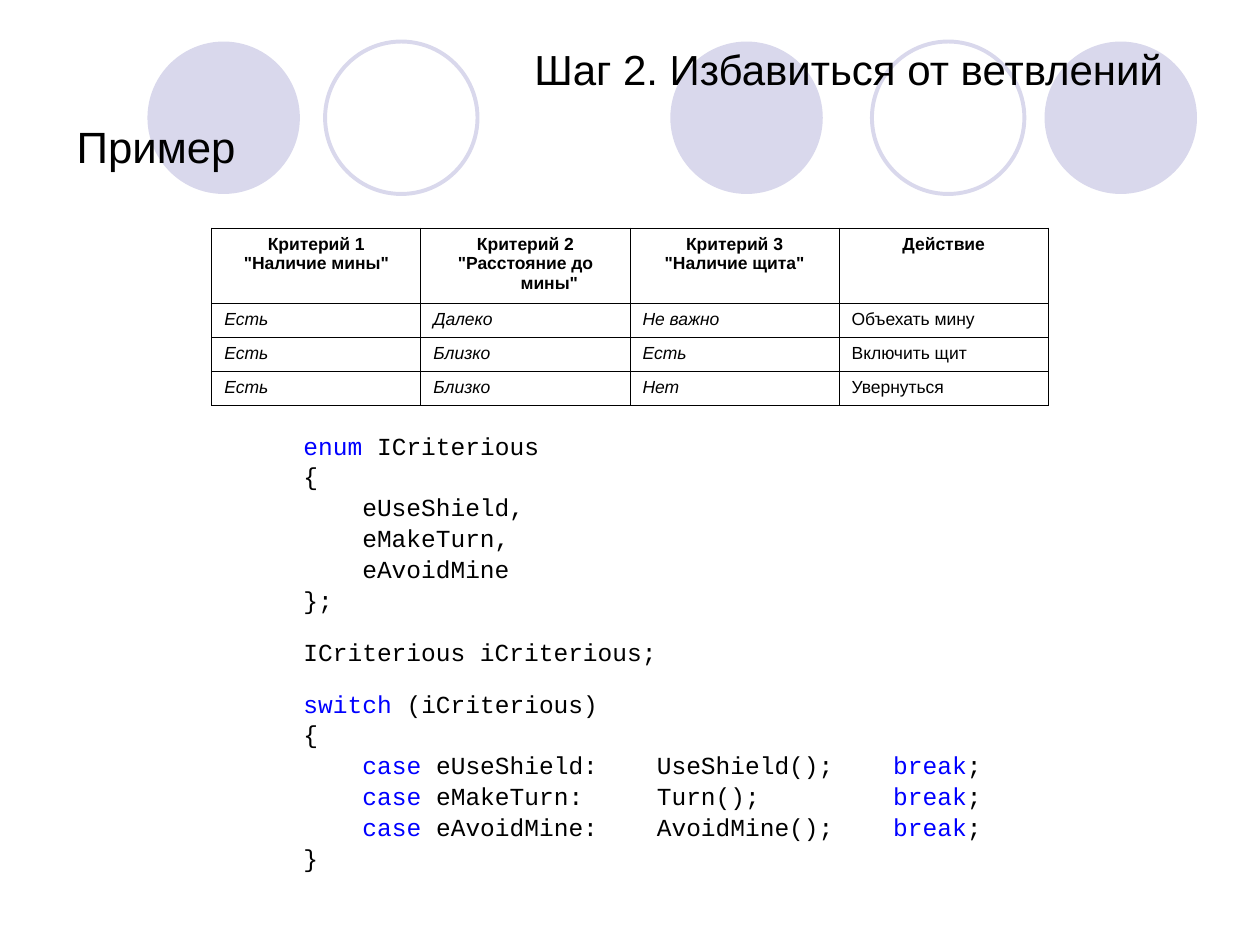
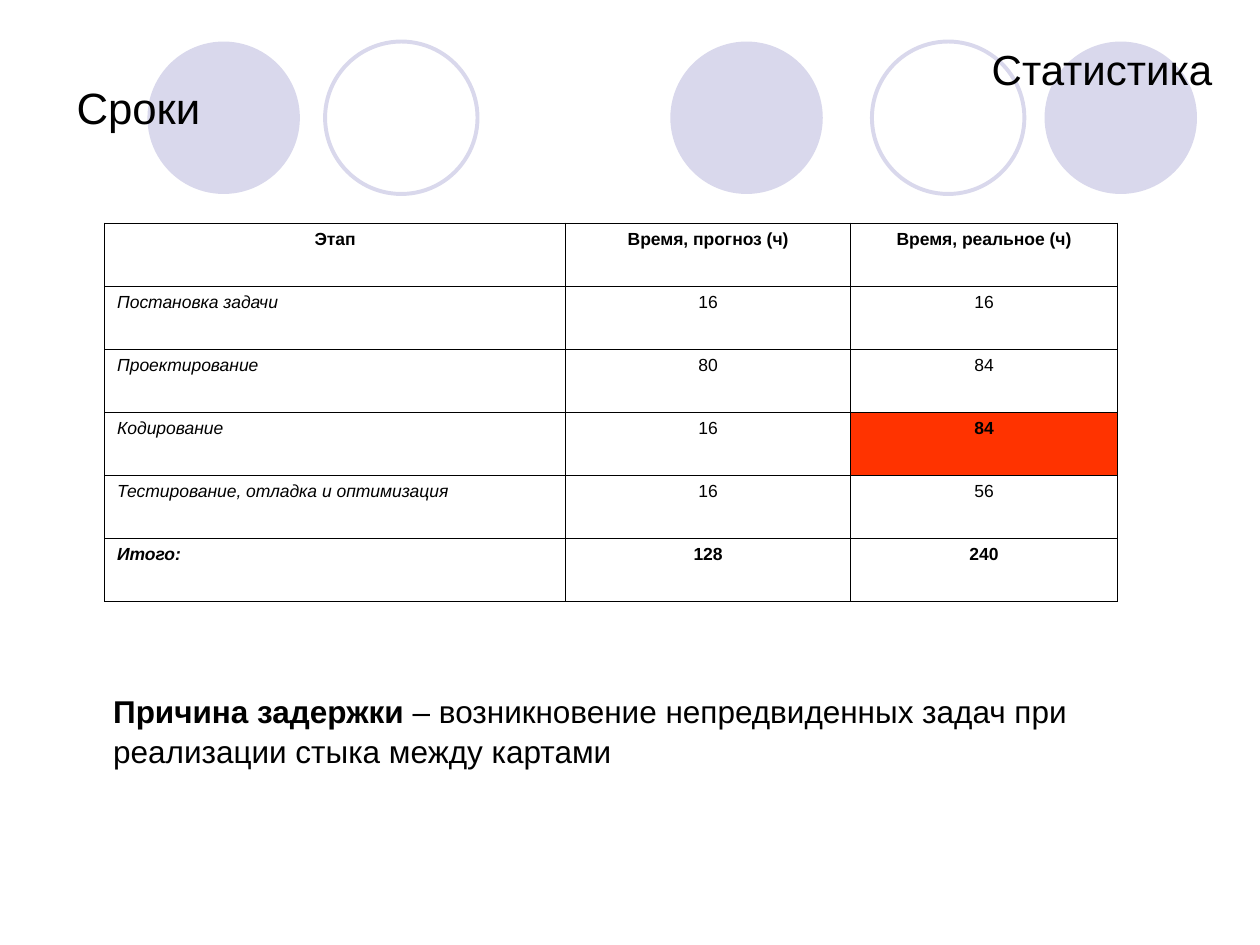
from lxml import etree
from pptx import Presentation
from pptx.dml.color import RGBColor
from pptx.enum.shapes import MSO_SHAPE
from pptx.enum.text import MSO_ANCHOR, PP_ALIGN
from pptx.oxml.ns import qn
from pptx.util import Inches, Pt

OVAL = MSO_SHAPE.OVAL
TOP, MIDDLE = MSO_ANCHOR.TOP, MSO_ANCHOR.MIDDLE
LEFT, CENTER, RIGHT = PP_ALIGN.LEFT, PP_ALIGN.CENTER, PP_ALIGN.RIGHT
SANS, MONO = "Arial", "Courier New"
COLORS = {
    "ink": "000000",
    "ring": "D9D8EC",
    "key": "0000FF",
    "alert": "FF3300",
}
RINGS = [(5.32, True), (8.29, True), (1.17, True), (6.92, False), (2.58, False)]
MARK = "`"
SPACING = 1.05

CHOICES = [
    ['Критерий 1\n"Наличие мины"', 'Критерий 2\n"Расстояние до мины"',
     'Критерий 3\n"Наличие щита"', "Действие"],
    ["Есть", "Далеко", "Не важно", "Объехать мину"],
    ["Есть", "Близко", "Есть", "Включить щит"],
    ["Есть", "Близко", "Нет", "Увернуться"],
]
TIMES = [
    ["Этап", "Время, прогноз (ч)", "Время, реальное (ч)"],
    ["Постановка задачи", "16", "16"],
    ["Проектирование", "80", "84"],
    ["Кодирование", "16", "84"],
    ["Тестирование, отладка и оптимизация", "16", "56"],
    ["Итого:", "128", "240"],
]
CODE = [
    """`enum` ICriterious
{
    eUseShield,
    eMakeTurn,
    eAvoidMine
};""",
    "ICriterious iCriterious;",
    """`switch` (iCriterious)
{
    `case` eUseShield:    UseShield();    `break`;
    `case` eMakeTurn:     Turn();         `break`;
    `case` eAvoidMine:    AvoidMine();    `break`;
}""",
]


def paint(name):
    return RGBColor.from_string(COLORS[name])


def style(run, size, face=SANS, color="ink", bold=False, italic=False):
    font = run.font
    font.name, font.size = face, Pt(size)
    font.bold, font.italic = bold, italic
    font.color.rgb = paint(color)


def add_rings(slide):
    for left, solid in RINGS:
        ring = slide.shapes.add_shape(
            OVAL, Inches(left), Inches(0.33), Inches(1.21), Inches(1.21))
        ring.shadow.inherit = False
        if solid:
            ring.fill.solid()
            ring.fill.fore_color.rgb = paint("ring")
            ring.line.fill.background()
        else:
            ring.fill.background()
            ring.line.color.rgb = paint("ring")
            ring.line.width = Pt(2.25)


def add_box(slide, place, anchor=TOP, wrap=True):
    box = slide.shapes.add_textbox(*map(Inches, place))
    frame = box.text_frame
    frame.word_wrap = wrap
    frame.vertical_anchor = anchor
    return frame


def add_label(slide, place, text, size, align=LEFT, anchor=TOP):
    frame = add_box(slide, place, anchor)
    frame.text = text
    para = frame.paragraphs[0]
    para.alignment = align
    para.line_spacing = SPACING
    style(para.runs[0], size)


def add_title(slide, left, width, text):
    add_label(slide, (left, 0.28, width, 0.5), text, 24, align=RIGHT)


def add_topic(slide, top, width, text):
    add_label(slide, (0.51, top, width, 1.25), text, 25, anchor=MIDDLE)


def add_code(slide, place, blocks):
    frame = add_box(slide, place, MIDDLE, wrap=False)
    para = None
    for block in blocks:
        for row, line in enumerate(block.split("\n")):
            first = para is None
            para = frame.paragraphs[0] if first else frame.add_paragraph()
            para.line_spacing = SPACING
            if row == 0 and not first:
                para.space_before = Pt(12)
            for part, text in enumerate(line.split(MARK)):
                if text:
                    run = para.add_run()
                    run.text = text
                    style(run, 14, MONO, "key" if part % 2 else "ink")


def add_note(slide, place, lead, rest):
    para = add_box(slide, place).paragraphs[0]
    para.line_spacing = SPACING
    for text, bold in ((lead, True), (rest, False)):
        run = para.add_run()
        run.text = text
        style(run, 18, bold=bold)


def add_edges(cell):
    props = cell._tc.get_or_add_tcPr()
    for side in ("a:lnL", "a:lnR", "a:lnT", "a:lnB"):
        edge = etree.SubElement(props, qn(side), w=str(Pt(0.45)))
        fill = etree.SubElement(edge, qn("a:solidFill"))
        etree.SubElement(fill, qn("a:srgbClr"), val=COLORS["ink"])


def fill_cell(cell, text, align, bold, italic):
    add_edges(cell)
    cell.fill.background()
    cell.text_frame.text = text
    for para in cell.text_frame.paragraphs:
        para.alignment = align
        props = para._p.get_or_add_pPr()
        props.set("marL", str(Inches(0.38)))
        props.set("indent", str(-Inches(0.38)))
        style(para.runs[0], 10, bold=bold, italic=italic)


def add_grid(slide, left, top, widths, heights, rows, slant, mid=(), strong=()):
    table = slide.shapes.add_table(
        len(rows), len(widths), Inches(left), Inches(top),
        Inches(sum(widths)), Inches(sum(heights))).table
    table.first_row = table.horz_banding = False
    for column, width in zip(table.columns, widths):
        column.width = Inches(width)
    for row, height in zip(table.rows, heights):
        row.height = Inches(height)
    for r, texts in enumerate(rows):
        for c, text in enumerate(texts):
            head = r == 0
            fill_cell(table.cell(r, c), text,
                      align=CENTER if head or c in mid else LEFT,
                      bold=head or (r, c) in strong,
                      italic=not head and c in slant)
    return table


def add_slide(deck):
    slide = deck.slides.add_slide(deck.slide_layouts[6])
    add_rings(slide)
    return slide


def show_example(deck):
    slide = add_slide(deck)
    add_title(slide, 3.74, 5.59, "Шаг 2. Избавиться от ветвлений")
    add_topic(slide, 0.52, 3.08, "Пример")
    add_grid(slide, 1.68, 1.81, [1.66] * 4, [0.6] + [0.27] * 3, CHOICES,
             slant=(0, 1, 2))
    add_code(slide, (2.31, 3.43, 5.58, 3.47), CODE)


def show_times(deck):
    slide = add_slide(deck)
    add_topic(slide, 0.21, 5.43, "Сроки")
    add_title(slide, 7.52, 2.2, "Статистика")
    late = (3, 2)
    total = [(5, c) for c in range(3)]
    table = add_grid(slide, 0.83, 1.77, [3.66, 2.26, 2.12], [0.5] * 6, TIMES,
                     slant=(0,), mid=(1, 2), strong=[late] + total)
    cell = table.cell(*late)
    cell.fill.solid()
    cell.fill.fore_color.rgb = paint("alert")
    add_note(slide, (0.8, 5.43, 8.13, 0.7), "Причина задержки",
             " – возникновение непредвиденных задач при реализации стыка между картами")


def main():
    deck = Presentation()
    deck.slide_width, deck.slide_height = Inches(10), Inches(7.5)
    show_example(deck)
    show_times(deck)
    deck.save("out.pptx")


if __name__ == "__main__":
    main()
